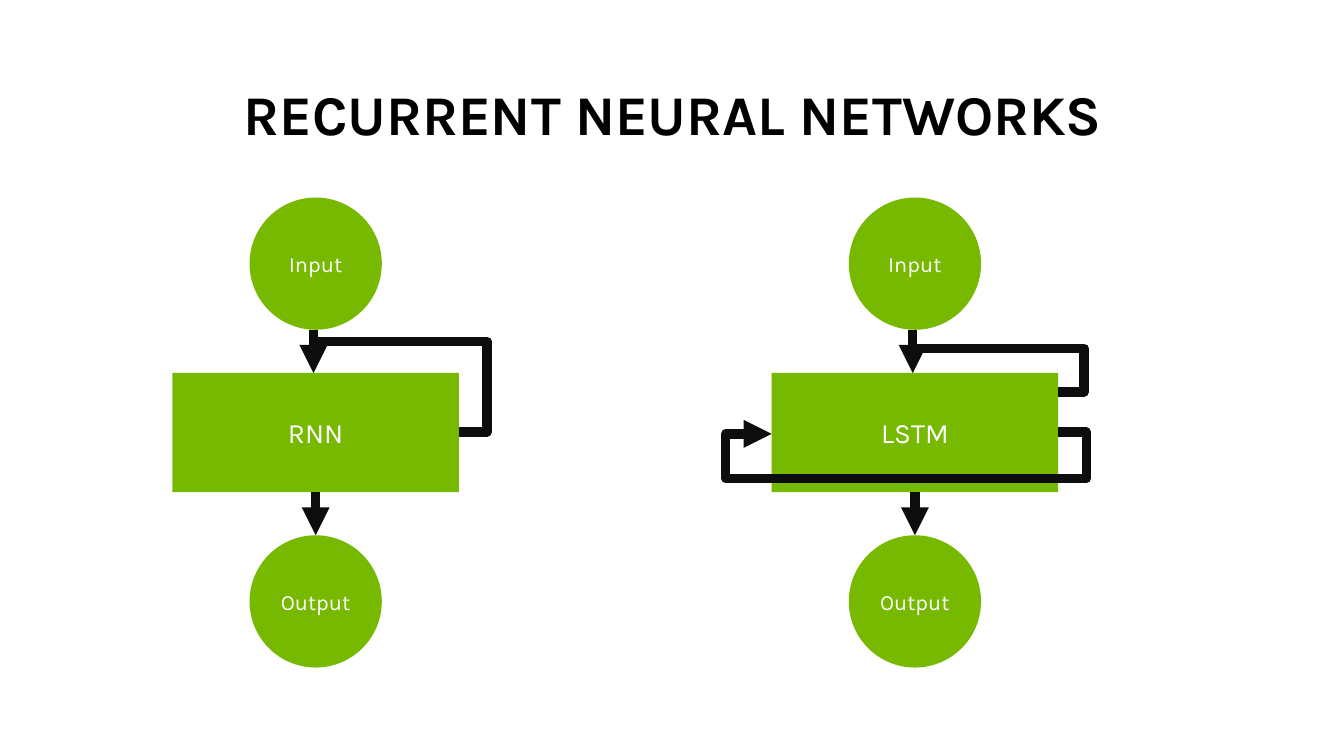
"""Build a slide comparing the loops of an RNN and an LSTM."""
from lxml import etree
from pptx import Presentation
from pptx.dml.color import RGBColor
from pptx.enum import shapes, text
from pptx.oxml import ns
from pptx.util import Cm, Pt

GREEN = RGBColor(0x76, 0xB9, 0x00)
INK = RGBColor(0x0D, 0x0D, 0x0D)
BLACK = RGBColor(0, 0, 0)
WHITE = RGBColor(255, 255, 255)
FONT = "Karla"

BLOCK_LEFT, BLOCK_TOP, BLOCK_WIDTH, BLOCK_HEIGHT = 3.91, 8.46, 6.5, 2.7
DIAMETER, GAP, NETWORK_STEP = 3, 0.98, 13.59
BLOCK_BOTTOM = BLOCK_TOP + BLOCK_HEIGHT
INPUT_TOP = BLOCK_TOP - GAP - DIAMETER
OUTPUT_TOP = BLOCK_BOTTOM + GAP


def add_node(kind, center, top, width, height, label, size):
    box = page.shapes.add_shape(kind, Cm(center - width / 2), Cm(top), Cm(width), Cm(height))
    box.shadow.inherit = False
    box.fill.solid()
    box.fill.fore_color.rgb = GREEN
    box.line.fill.background()
    box.text_frame.text = label
    box.text_frame.vertical_anchor = text.MSO_ANCHOR.MIDDLE
    para = box.text_frame.paragraphs[0]
    para.alignment = text.PP_ALIGN.CENTER
    font = para.runs[0].font
    font.name, font.size, font.color.rgb = FONT, Pt(size), WHITE


def add_wire(start, end, arrow, bends=()):
    kind = shapes.MSO_CONNECTOR.ELBOW if bends else shapes.MSO_CONNECTOR.STRAIGHT
    wire = page.shapes.add_connector(kind, *(Cm(value) for value in start + end))
    wire.line.width = Pt(6)
    wire.line.color.rgb = INK
    properties = wire._element.spPr
    if arrow:
        etree.SubElement(wire.line._get_or_add_ln(), ns.qn("a:tailEnd"), type="triangle")
    etree.SubElement(properties, ns.qn("a:effectLst"))
    if bends:
        geometry = properties.find(ns.qn("a:prstGeom"))
        geometry.set("prst", f"bentConnector{len(bends) + 2}")
        guides = geometry.find(ns.qn("a:avLst"))
        for index, bend in enumerate(bends):
            axis = index % 2
            ratio = (bend - start[axis]) / (end[axis] - start[axis])
            etree.SubElement(guides, ns.qn("a:gd"), name=f"adj{index + 1}",
                             fmla=f"val {round(ratio * 100000)}")


deck = Presentation()
deck.slide_width, deck.slide_height = Cm(30.48), Cm(17.145)
page = deck.slides.add_slide(deck.slide_layouts[5])
page.background.fill.solid()
page.background.fill.fore_color.rgb = WHITE

title = page.shapes.title
title.left, title.top, title.width, title.height = Cm(1.4), Cm(1.83), Cm(27.71), Cm(1.65)
title.text_frame.text = "RECURRENT NEURAL NETWORKS"
title.text_frame.vertical_anchor = text.MSO_ANCHOR.BOTTOM
heading = title.text_frame.paragraphs[0]
heading.alignment = text.PP_ALIGN.CENTER
heading.line_spacing = 0.9
span = heading.runs[0]
span.font.name, span.font.size, span.font.bold = FONT, Pt(36), True
span.font.color.rgb = BLACK

networks = [
    ("RNN", [((10.41, 9.8), (7.16, 7.75), False, (11.05,))]),
    ("LSTM", [((24, 8.89), (20.73, 7.9), False, (24.59,)),
              ((24, 9.8), (17.5, 9.84), True, (24.64, 10.85, 16.46))]),
]
for column, (name, loops) in enumerate(networks):
    center = BLOCK_LEFT + BLOCK_WIDTH / 2 + column * NETWORK_STEP
    add_node(shapes.MSO_SHAPE.RECTANGLE, center, BLOCK_TOP, BLOCK_WIDTH, BLOCK_HEIGHT, name, 18)
    for label, top in (("Input", INPUT_TOP), ("Output", OUTPUT_TOP)):
        add_node(shapes.MSO_SHAPE.OVAL, center, top, DIAMETER, DIAMETER, label, 14)
    add_wire((center, BLOCK_BOTTOM), (center, OUTPUT_TOP), True)
    add_wire((center - 0.05, BLOCK_TOP - GAP), (center - 0.05, BLOCK_TOP), True)
    for loop in loops:
        add_wire(*loop)

deck.save("out.pptx")
